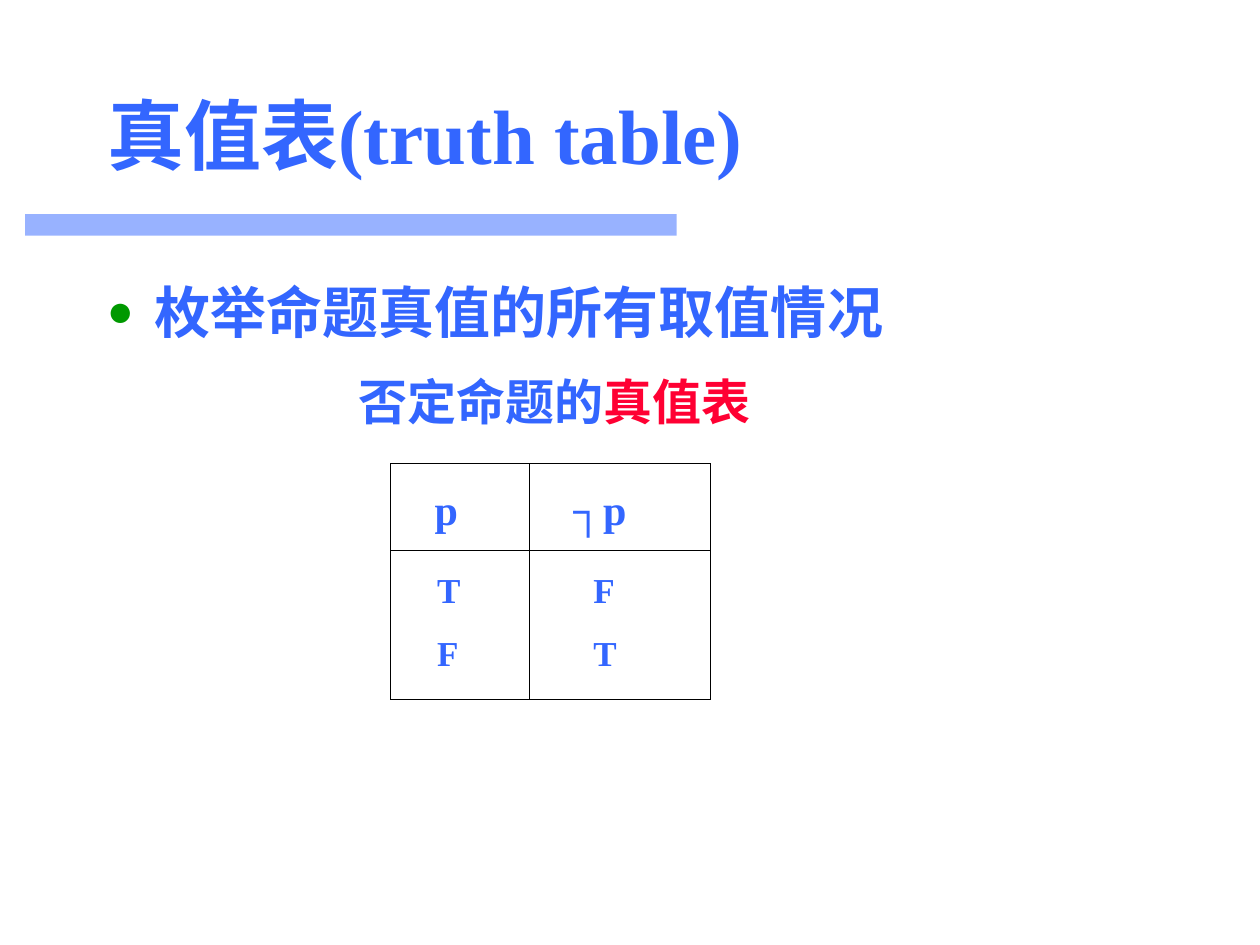
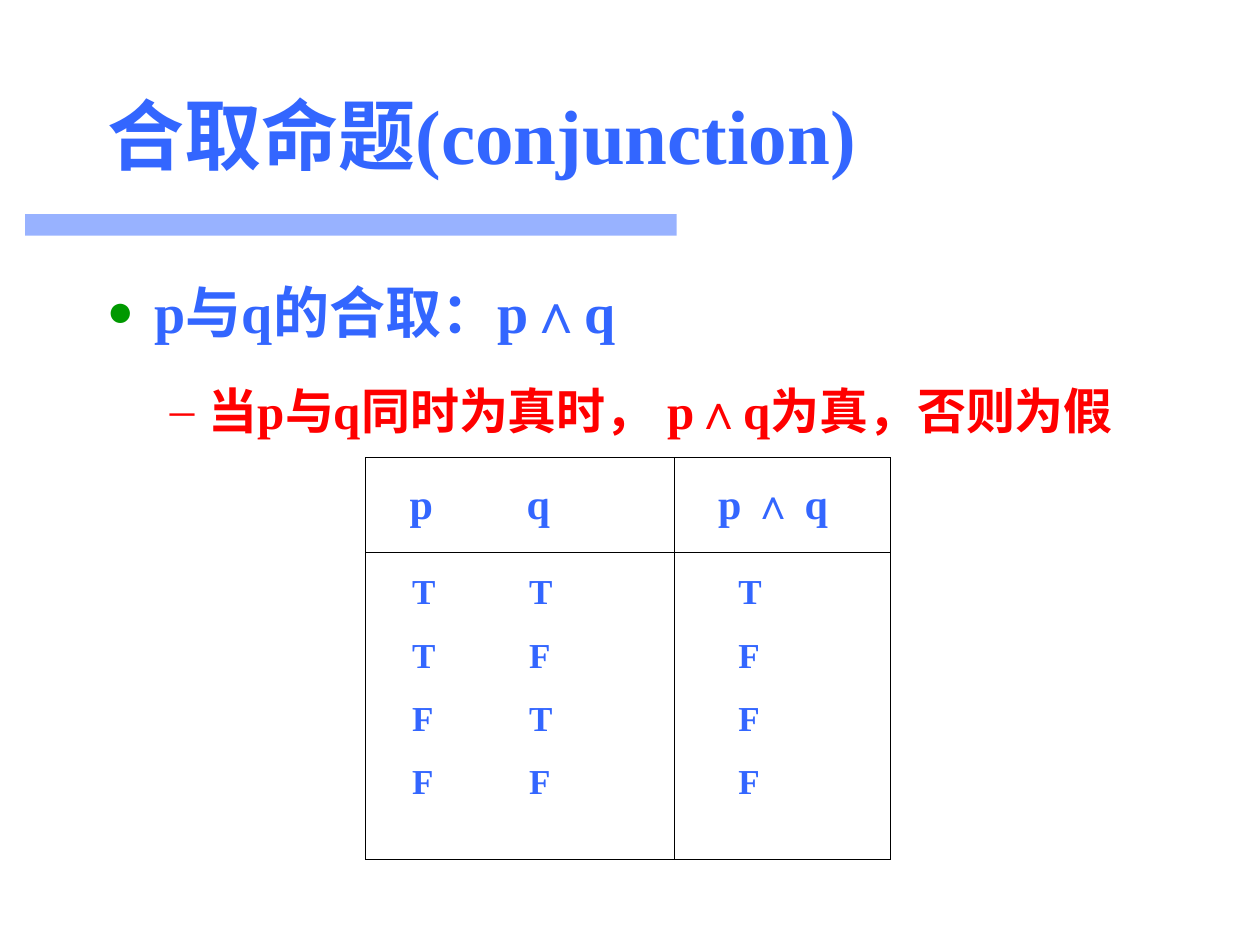
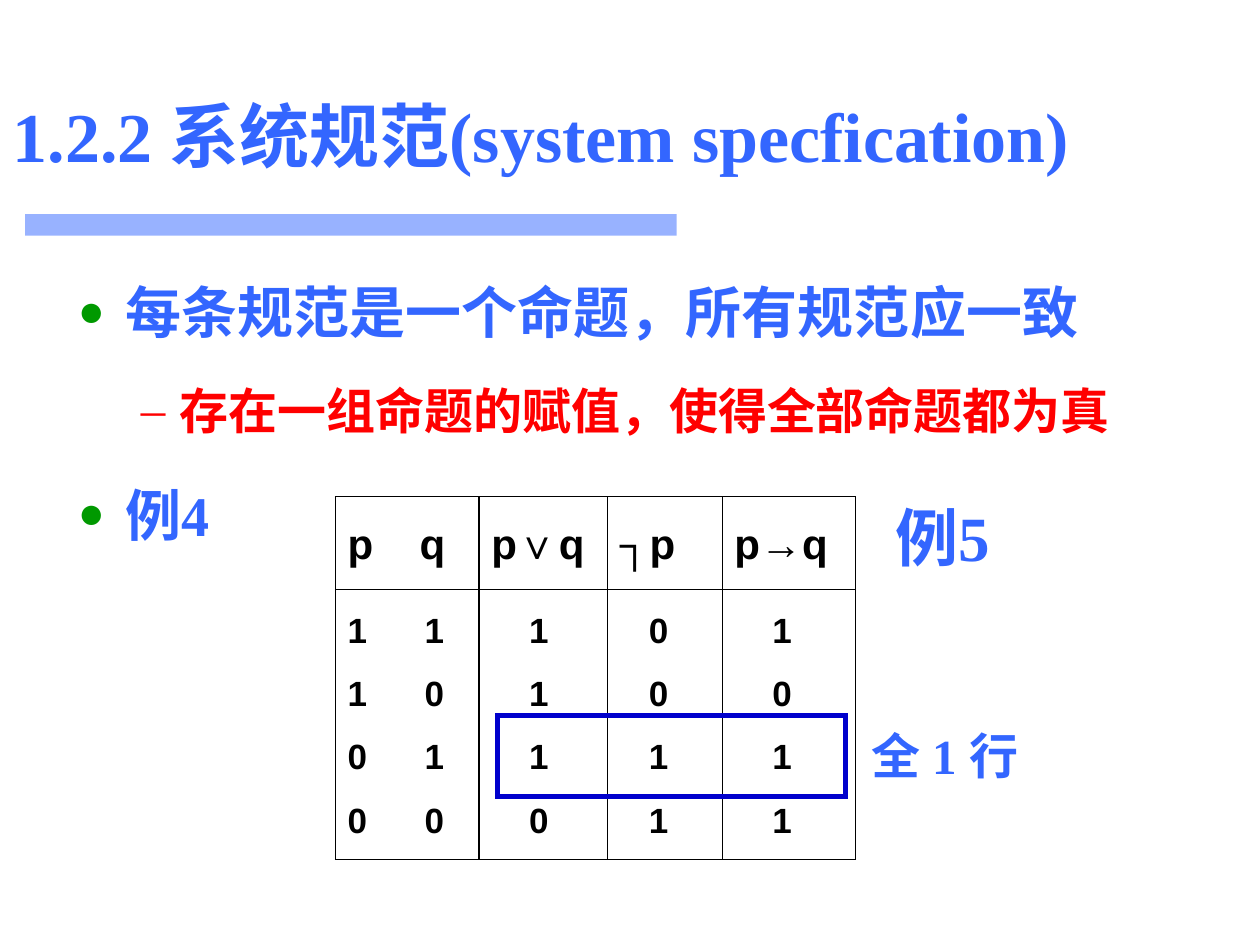
from itertools import groupby

from lxml import etree
from pptx import Presentation
from pptx.dml.color import RGBColor
from pptx.enum.shapes import MSO_SHAPE
from pptx.enum.text import MSO_ANCHOR, MSO_AUTO_SIZE, PP_ALIGN
from pptx.oxml.ns import qn
from pptx.util import Inches, Pt

RECTANGLE = MSO_SHAPE.RECTANGLE
MIDDLE = MSO_ANCHOR.MIDDLE
NO_AUTOSIZE = MSO_AUTO_SIZE.NONE
LEFT, CENTER = PP_ALIGN.LEFT, PP_ALIGN.CENTER

BLUE = RGBColor(0x33, 0x66, 0xFF)
GREEN = RGBColor(0x00, 0x99, 0x00)
RED = RGBColor(0xFF, 0x00, 0x00)
CRIMSON = RGBColor(0xFF, 0x00, 0x33)
NAVY = RGBColor(0x00, 0x00, 0xCC)
BLACK = RGBColor(0x00, 0x00, 0x00)

SERIF, SANS, CJK = "Times New Roman", "Arial", "Noto Sans CJK SC"
LINE_SPACING = 1.4
THIN, THICK = 0.45, 1.47

# Outline levels: size, colour, space before, left margin, hanging, bullet, bullet colour, bullet %
LEVELS = [
    (32, BLUE, 8, 0.38, 0.38, "●", GREEN, 80),
    (28, RED, 7, 0.81, 0.31, "–", RED, 100),
]


def add_xml(parent, tag, **attributes):
    return etree.SubElement(parent, qn(tag), {k: str(v) for k, v in attributes.items()})


def is_cjk(char):
    return char >= "⺀"


def add_text(paragraph, text, latin=SERIF, color=None):
    """Add runs, switching font between Chinese and other text."""
    for chinese, chars in groupby(text, is_cjk):
        run = paragraph.add_run()
        run.text = "".join(chars)
        run.font.name = CJK if chinese else latin
        add_xml(run.font._element, "a:ea", typeface=run.font.name)
        if color is not None:
            run.font.color.rgb = color


def style(paragraph, size, color=BLUE):
    font = paragraph.font
    font.size, font.bold = Pt(size), True
    font.color.rgb = color


def paragraphs(frame, items):
    """Yield a paragraph for each item, using the frame's first one."""
    for index, item in enumerate(items):
        yield index, frame.paragraphs[0] if index == 0 else frame.add_paragraph(), item


def place(shape, box):
    shape.left, shape.top, shape.width, shape.height = map(Inches, box)


def add_titled_slide(prs, title_text, box=(0.75, 0.44, 8.5, 1.25), size=44):
    slide = prs.slides.add_slide(prs.slide_layouts[5])
    title = slide.shapes.title
    place(title, box)
    frame = title.text_frame
    frame.vertical_anchor, frame.auto_size = MIDDLE, NO_AUTOSIZE
    heading = frame.paragraphs[0]
    heading.alignment = LEFT
    add_text(heading, title_text)
    style(heading, size)

    # Translucent band below the title
    band = slide.shapes.add_shape(RECTANGLE, *map(Inches, (0.2, 1.7, 5.17, 0.17)))
    band.shadow.inherit = False
    band.fill.solid()
    band.fill.fore_color.rgb = BLUE
    add_xml(band._element.spPr.find(".//" + qn("a:srgbClr")), "a:alpha", val=50000)
    band.line.fill.background()
    return slide


def add_outline(slide, box, items):
    """Bulleted outline; items are (level, text)."""
    frame = slide.shapes.add_textbox(*map(Inches, box)).text_frame
    frame.word_wrap = True
    for index, point, (level, text) in paragraphs(frame, items):
        size, color, before, margin, hanging, bullet, bullet_color, percent = LEVELS[level]
        point.level = level
        point.line_spacing = LINE_SPACING
        if index:
            point.space_before = Pt(before)
        props = point._p.get_or_add_pPr()
        props.set("marL", str(Inches(margin)))
        props.set("indent", str(-Inches(hanging)))
        add_xml(add_xml(props, "a:buClr"), "a:srgbClr", val=bullet_color)
        add_xml(props, "a:buSzPct", val=percent * 1000)
        add_xml(props, "a:buFont", typeface=SERIF)
        add_xml(props, "a:buChar", char=bullet)
        add_text(point, text)
        style(point, size, color)


def add_label(slide, box, segments, size, align=LEFT):
    """One-line label; segments are (text, colour or None)."""
    frame = slide.shapes.add_textbox(*map(Inches, box)).text_frame
    frame.word_wrap = True
    label = frame.paragraphs[0]
    label.alignment = align
    for text, color in segments:
        add_text(label, text, color=color)
    style(label, size)


def draw_borders(cell, left, right):
    props = cell._tc.get_or_add_tcPr()
    for side, width in zip("LRTB", (left, right, THIN, THIN)):
        border = add_xml(props, f"a:ln{side}", w=Pt(width))
        add_xml(add_xml(border, "a:solidFill"), "a:srgbClr", val=BLACK)
    cell.fill.background()


def fill_cell(cell, lines, stops, size, before, latin, color):
    cell.margin_bottom = Inches(0.01)
    for index, line, text in paragraphs(cell.text_frame, lines):
        line.line_spacing = LINE_SPACING
        if index:
            line.space_before = Pt(before)
        if stops:
            tabs = add_xml(line._p.get_or_add_pPr(), "a:tabLst")
            for stop in stops:
                add_xml(tabs, "a:tab", pos=Inches(stop), algn="l")
        add_text(line, text, latin)
        style(line, size, color)


def add_truth_table(slide, corner, row_heights, columns,
                    latin=SERIF, color=BLUE, thick_after=None):
    """Columns are (width, header, header stops, values, value stops)."""
    widths = [column[0] for column in columns]
    table = slide.shapes.add_table(
        2, len(columns),
        *map(Inches, (*corner, sum(widths), sum(row_heights)))).table
    table.first_row = table.horz_banding = False
    for row, height in zip(table.rows, row_heights):
        row.height = Inches(height)
    for index, (width, header, header_stops, values, value_stops) in enumerate(columns):
        table.columns[index].width = Inches(width)
        left = THICK if index - 1 == thick_after else THIN
        right = THICK if index == thick_after else THIN
        header_cell, values_cell = table.cell(0, index), table.cell(1, index)
        fill_cell(header_cell, [header], header_stops, 24, 6, latin, color)
        fill_cell(values_cell, values, value_stops, 20, 5, latin, color)
        for cell in (header_cell, values_cell):
            draw_borders(cell, left, right)


def add_row_frame(slide, box):
    row_frame = slide.shapes.add_shape(RECTANGLE, *map(Inches, box))
    row_frame.shadow.inherit = False
    row_frame.fill.background()
    row_frame.line.color.rgb = NAVY
    row_frame.line.width = Pt(3)
    add_xml(row_frame._element.spPr.find(qn("a:ln")), "a:miter", lim=800000)


def build_negation(prs):
    slide = add_titled_slide(prs, "真值表(truth table)")
    add_outline(slide, (0.75, 1.94, 8.98, 4.88), [(0, "枚举命题真值的所有取值情况")])
    add_truth_table(slide, (3.1, 3.68), (0.69, 1.18), [
        (1.1, "\tp", [0.25], ["\tT", "\tF"], [0.27]),
        (1.44, "\t┐p", [0.25], ["\tF", "\tT"], [0.41]),
    ])
    add_label(slide, (2.6, 2.9, 3.6, 0.57),
              [("否定命题的", None), ("真值表", CRIMSON)], 28, CENTER)


def build_conjunction(prs):
    slide = add_titled_slide(prs, "合取命题(conjunction)")
    add_outline(slide, (0.75, 1.94, 8.5, 4.88), [
        (0, "p与q的合取：p∧q"),
        (1, "当p与q同时为真时， p∧q为真，否则为假"),
    ])
    add_truth_table(slide, (2.9, 3.63), (0.75, 2.44), [
        (2.45, "\tp\tq", [0.25, 1.18], ["\tT\tT", "\tT\tF", "\tF\tT", "\tF\tF"], [0.27, 1.2]),
        (1.72, "\tp ∧ q", [0.25], ["\tT", "\tF", "\tF", "\tF"], [0.41]),
    ])


def build_specification(prs):
    slide = add_titled_slide(prs, "1.2.2 系统规范(system specfication)", (0, 0.44, 10, 1.25), 40)
    add_outline(slide, (0.52, 1.94, 8.73, 4.88), [
        (0, "每条规范是一个命题，所有规范应一致"),
        (1, "存在一组命题的赋值，使得全部命题都为真"),
        (0, "例4"),
    ])
    add_truth_table(slide, (2.66, 3.94), (0.74, 2.14), [
        (1.14, "p\tq", [0.57], ["1\t1", "1\t0", "0\t1", "0\t0"], [0.61]),
        (1.02, "p∨q", [], ["\t1", "\t1", "\t1", "\t0"], [0.3]),
        (0.91, "┐p", [], ["\t0", "\t0", "\t1", "\t1"], [0.23]),
        (1.06, "p→q", [], ["\t1", "\t0", "\t1", "\t1"], [0.3]),
    ], SANS, BLACK, thick_after=0)
    # Satisfying row and its labels
    add_row_frame(slide, (3.95, 5.68, 2.76, 0.64))
    add_label(slide, (6.82, 5.71, 1.57, 1.04), [("全 1 行", None)], 28)
    add_label(slide, (7.01, 3.91, 1.88, 0.7), [("例5", None)], 36)


def main():
    prs = Presentation()
    prs.slide_width, prs.slide_height = Inches(10), Inches(7.5)
    build_negation(prs)
    build_conjunction(prs)
    build_specification(prs)
    prs.save("out.pptx")


if __name__ == "__main__":
    main()
